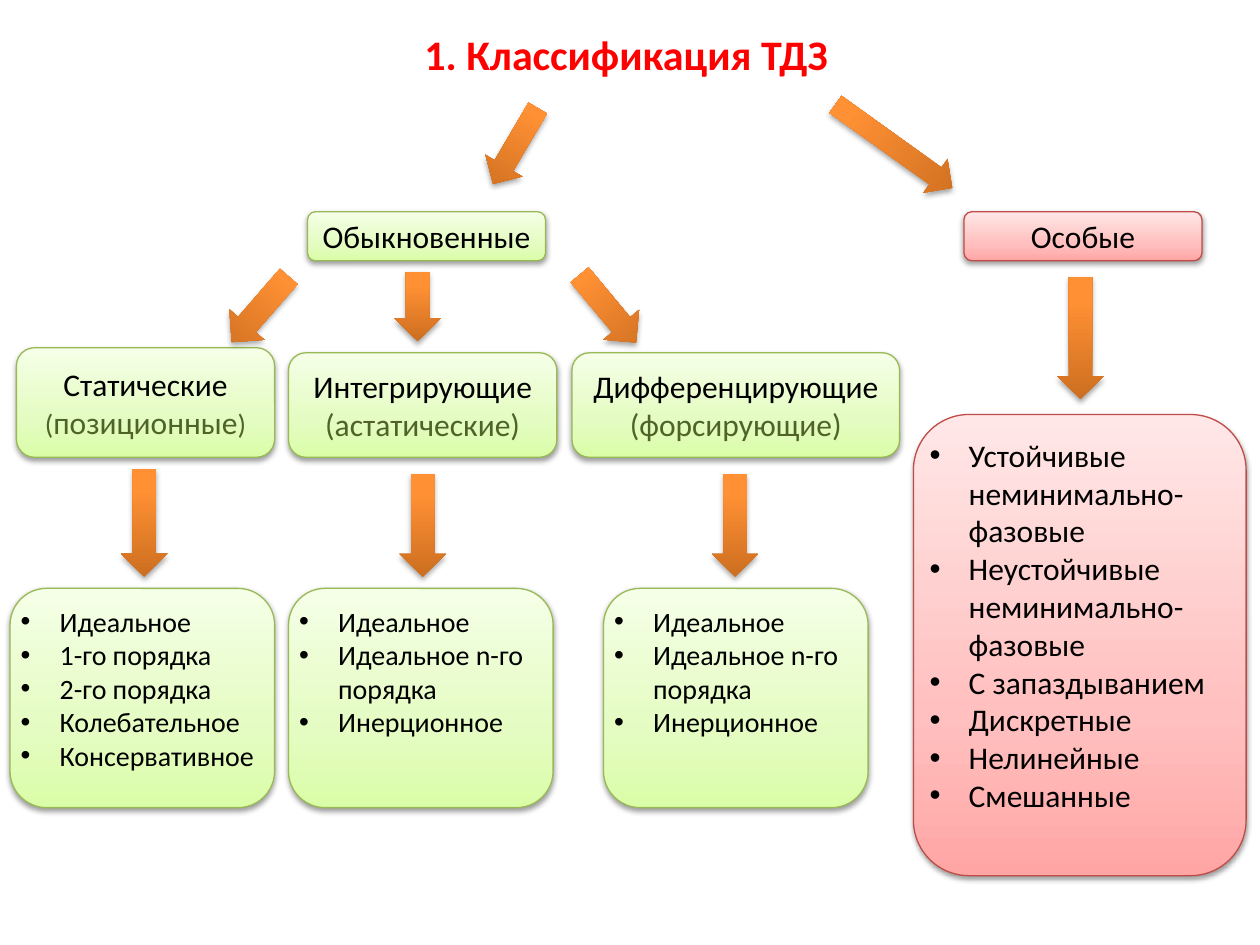
from lxml import etree
from pptx import Presentation
from pptx import util as u
from pptx.dml.color import RGBColor
from pptx.enum import shapes, text
from pptx.oxml import ns

COLOURS = {"title": "FF0000", "ink": "000000", "note": "4F6228",
           "ordinary_line": "98B955", "special_line": "BF4C48"}
GRADIENTS = {
    "ordinary": [(0, "DAFDA7"), (35, "E4FCC2"), (100, "F5FFE7")],
    "special": [(0, "FFA6A5"), (35, "FFC0BF"), (100, "FFE7E7")],
    "arrow": [(0, "CC6E20"), (80, "FF9034"), (100, "FF9136")],
}
LABEL_FRAME = {"word_wrap": True, "vertical_anchor": text.MSO_ANCHOR.MIDDLE}
LIST_FRAME = {"word_wrap": True, "vertical_anchor": text.MSO_ANCHOR.TOP,
              "margin_left": 0, "margin_right": 0,
              "margin_top": u.Inches(0.04), "margin_bottom": u.Inches(0.04)}


def apply(target, formats):
    for attribute, value in formats.items():
        setattr(target, attribute, value)


def add_child(parent, tag, **attributes):
    return etree.SubElement(parent, ns.qn(tag), attributes)


def paint(shape, gradient):
    shape.fill.gradient()
    grad = shape._element.spPr.find(ns.qn("a:gradFill"))
    stops = grad.find(ns.qn("a:gsLst"))
    for stop in list(stops):
        stops.remove(stop)
    for position, colour in GRADIENTS[gradient]:
        stop = add_child(stops, "a:gs", pos=str(position * 1000))
        add_child(stop, "a:srgbClr", val=colour)
    grad.find(ns.qn("a:lin")).set("ang", "16200000")


def cast_shadow(shape, distance, opacity):
    shape.shadow.inherit = False
    effects = shape._element.spPr.find(ns.qn("a:effectLst"))
    shadow = add_child(effects, "a:outerShdw", blurRad="40000", dist=str(distance),
                       dir="5400000", rotWithShape="0")
    colour = add_child(shadow, "a:srgbClr", val=COLOURS["ink"])
    add_child(colour, "a:alpha", val=str(opacity * 1000))


def write_run(paragraph, words, size, colour="ink", bold=False):
    run = paragraph.add_run()
    run.text = words
    apply(run.font, {"name": "Calibri", "size": u.Pt(size), "bold": bold})
    run.font.color.rgb = RGBColor.from_string(COLOURS[colour])


def paragraphs(frame, lines):
    for index, line in enumerate(lines):
        yield (frame.add_paragraph() if index else frame.paragraphs[0]), line


def add_title(slide, words):
    title = slide.shapes.add_textbox(*map(u.Inches, (0.22, 0.18, 9.5, 0.5)))
    title.text_frame.word_wrap = True
    heading = title.text_frame.paragraphs[0]
    heading.alignment = text.PP_ALIGN.CENTER
    write_run(heading, words, 24, "title", True)


def add_panel(slide, place, family, frame_formats):
    panel = slide.shapes.add_shape(shapes.MSO_SHAPE.ROUNDED_RECTANGLE, *map(u.Inches, place))
    paint(panel, family)
    panel.line.color.rgb = RGBColor.from_string(COLOURS[family + "_line"])
    panel.line.width = u.Pt(0.75)
    cast_shadow(panel, 20000, 38)
    apply(panel.text_frame, frame_formats)
    return panel.text_frame


def add_label(slide, place, family, name, note=()):
    frame = add_panel(slide, place, family, LABEL_FRAME)
    lines = [[(name, 18)]]
    if note:
        lines.append([(words, size, "note") for words, size in note])
    for paragraph, runs in paragraphs(frame, lines):
        paragraph.alignment = text.PP_ALIGN.CENTER
        for run in runs:
            write_run(paragraph, *run)


def add_list(slide, place, family, size, items):
    frame = add_panel(slide, place, family, LIST_FRAME)
    for paragraph, item in paragraphs(frame, items):
        paragraph.alignment = text.PP_ALIGN.LEFT
        properties = paragraph._p.get_or_add_pPr()
        properties.set("marL", str(u.Inches(0.31)))
        properties.set("indent", str(-u.Inches(0.31)))
        add_child(properties, "a:buFont", typeface="Arial")
        add_child(properties, "a:buChar", char="•")
        write_run(paragraph, item, size)


def add_arrow(slide, place, rotation=0):
    arrow = slide.shapes.add_shape(shapes.MSO_SHAPE.DOWN_ARROW, *map(u.Inches, place))
    arrow.rotation = rotation
    paint(arrow, "arrow")
    arrow.line.fill.background()
    cast_shadow(arrow, 23000, 35)


def main():
    deck = Presentation()
    apply(deck, {"slide_width": u.Inches(10), "slide_height": u.Inches(7.5)})
    slide = deck.slides.add_slide(deck.slide_layouts[6])

    add_title(slide, "1. Классификация ТДЗ")
    for left, family, name in [(2.44, "ordinary", "Обыкновенные"),
                               (7.65, "special", "Особые")]:
        add_label(slide, (left, 1.68, 1.89, 0.39), family, name)

    kinds = [
        ((0.13, 2.76, 2.05, 0.87), "Статические",
         [("(", 16), ("позиционные", 18), (")", 16)]),
        ((2.29, 2.8, 2.13, 0.83), "Интегрирующие", [("(астатические)", 18)]),
        ((4.54, 2.8, 2.6, 0.83), "Дифференцирующие", [("(форсирующие)", 18)]),
    ]
    for place, name, note in kinds:
        add_label(slide, place, "ordinary", name, note)

    inertial = ["Идеальное", "Идеальное n-го порядка", "Инерционное"]
    static = ["Идеальное", "1-го порядка", "2-го порядка", "Колебательное", "Консервативное"]
    for left, links in [(0.08, static), (2.29, inertial), (4.79, inertial)]:
        add_list(slide, (left, 4.67, 2.1, 1.74), "ordinary", 16, links)
    add_list(slide, (7.25, 3.29, 2.64, 3.66), "special", 18,
             ["Устойчивые неминимально-фазовые", "Неустойчивые неминимально-фазовые",
              "С запаздыванием", "Дискретные", "Нелинейные", "Смешанные"])

    slanted = [((3.92, 0.81, 0.34, 0.7), 30.5), ((6.93, 0.59, 0.33, 1.14), 305.6),
               ((1.88, 2.11, 0.37, 0.69), 41), ((4.64, 2.1, 0.37, 0.7), 320.2)]
    for place, rotation in slanted:
        add_arrow(slide, place, rotation)
    for left, top, height in [(3.13, 2.16, 0.55), (0.96, 3.72, 0.86), (3.17, 3.76, 0.82),
                              (5.65, 3.76, 0.82), (8.39, 2.2, 0.97)]:
        add_arrow(slide, (left, top, 0.37, height))

    deck.save("out.pptx")


main()
